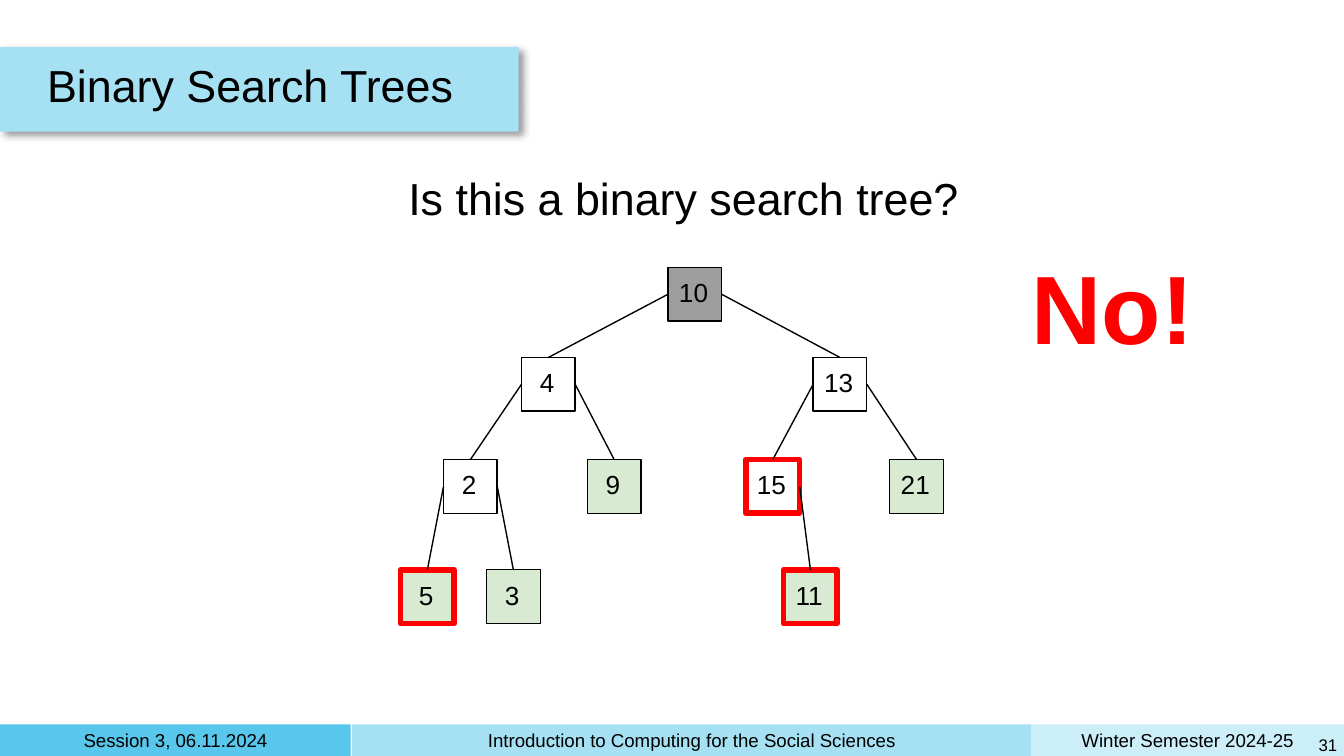
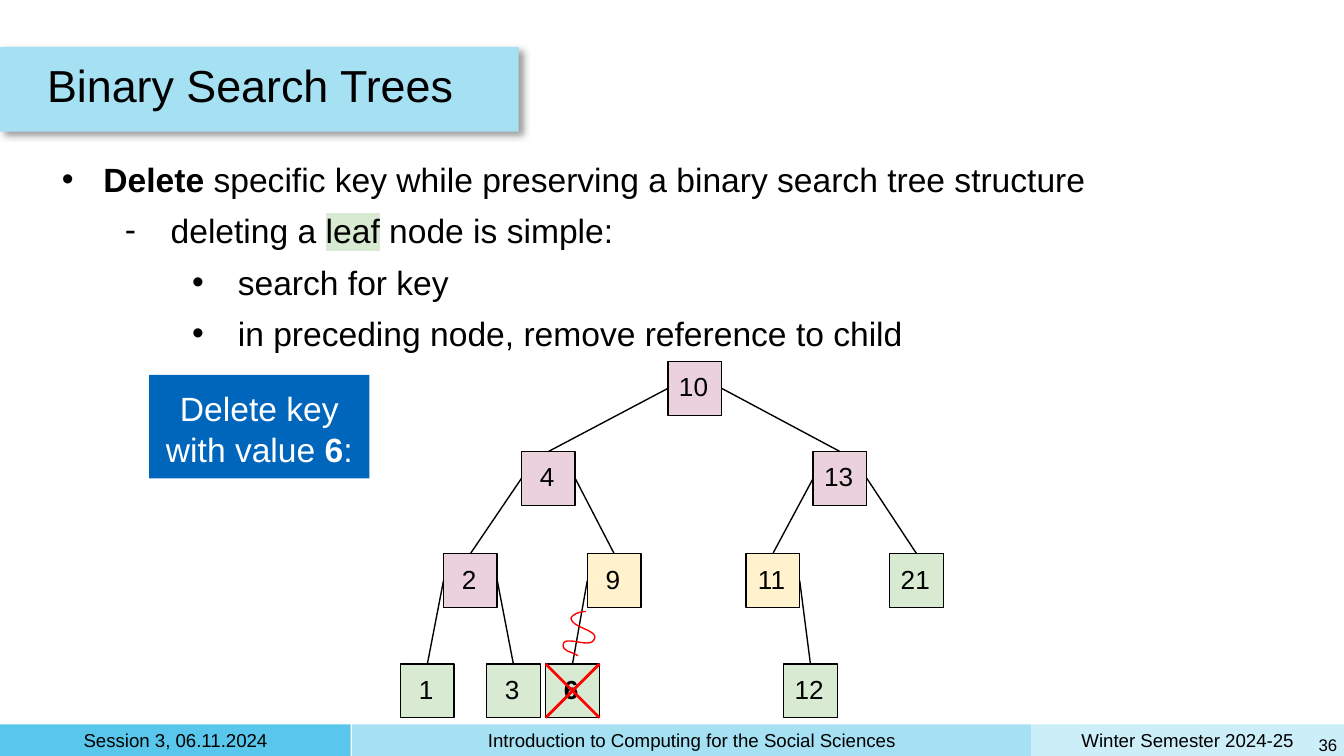
from dataclasses import dataclass

from lxml import etree
from pptx import Presentation
from pptx.dml.color import RGBColor
from pptx.enum.shapes import MSO_CONNECTOR, MSO_SHAPE
from pptx.enum.text import MSO_ANCHOR, MSO_AUTO_SIZE, PP_ALIGN
from pptx.oxml.ns import qn
from pptx.util import Inches, Pt

RECTANGLE = MSO_SHAPE.RECTANGLE
STRAIGHT = MSO_CONNECTOR.STRAIGHT
TOP, MIDDLE = MSO_ANCHOR.TOP, MSO_ANCHOR.MIDDLE
LEFT, CENTER, RIGHT = PP_ALIGN.LEFT, PP_ALIGN.CENTER, PP_ALIGN.RIGHT
NO_AUTOFIT = MSO_AUTO_SIZE.NONE
TITLE_ONLY = 5
SLIDE_WIDTH = 10
SLIDE_HEIGHT = SLIDE_WIDTH * 9 / 16


@dataclass(frozen=True)
class Theme:
    font: str = "Arial"
    black: str = "000000"
    white: str = "FFFFFF"
    red: str = "FF0000"
    blue: str = "0066BB"
    band_dark: str = "59C7EB"
    band: str = "A5E0F3"
    band_light: str = "CCEEF9"
    root: str = "9E9E9E"
    leaf: str = "D9EAD3"
    one_child: str = "FFF2CC"
    two_children: str = "EAD1DC"
    title_size: float = 24
    body_size: float = 18
    node_size: float = 14
    footer_size: float = 10
    number_size: float = 9
    answer_size: float = 52
    thin: float = 0.75
    medium: float = 1.5
    thick: float = 3


THEME = Theme()

TITLE_BAR = (0, 0.35, 3.86, 0.63)
TITLE_BOX = (0.3, 0.35, 8.7, 0.63)
FOOTER_TOP, FOOTER_HEIGHT = 5.39, 0.24
FOOTER_BANDS = [
    (7.67, 2.33, THEME.band_light, "Winter Semester 2024-25"),
    (0, 2.61, THEME.band_dark, "Session 3, 06.11.2024"),
    (2.62, 5.05, THEME.band, "Introduction to Computing for the Social Sciences"),
]

# A node is named by its way down from the root: L for left, R for right.
NODE_SIDE = 0.4
LEVEL_TOPS = (0, 0.67, 1.43, 2.25)
NODE_LEFTS = {
    "": 1.99,
    "L": 0.9, "R": 3.07,
    "LL": 0.32, "LR": 1.39, "RL": 2.57, "RR": 3.64,
    "LLL": 0, "LLR": 0.64, "LRL": 1.08, "RLR": 2.85,
}
CONNECTION_SITES = {"top": 0, "L": 1, "R": 3}


def color(value):
    return RGBColor.from_string(value)


def inches(box):
    return [Inches(length) for length in box]


def add_run(paragraph, text, size, font_color=THEME.black, bold=False, highlight=None):
    run = paragraph.add_run()
    run.text = text
    run.font.size = Pt(size)
    run.font.bold = bold
    run.font.name = THEME.font
    run.font.color.rgb = color(font_color)
    if highlight:
        marker = etree.Element(qn("a:highlight"))
        etree.SubElement(marker, qn("a:srgbClr"), val=highlight)
        run._r.get_or_add_rPr().find(qn("a:latin")).addprevious(marker)


def format_frame(shape, insets, anchor=TOP):
    frame = shape.text_frame
    frame.word_wrap = True
    frame.auto_size = NO_AUTOFIT
    frame.vertical_anchor = anchor
    (frame.margin_left, frame.margin_top,
     frame.margin_right, frame.margin_bottom) = inches(insets)
    return frame


def write_line(shape, text, size, align=CENTER, insets=(0.05,) * 4, anchor=MIDDLE, **style):
    paragraph = format_frame(shape, insets, anchor).paragraphs[0]
    paragraph.alignment = align
    add_run(paragraph, text, size, **style)
    return paragraph


def add_text(slide, box, text, size, **options):
    return write_line(slide.shapes.add_textbox(*inches(box)), text, size, **options)


def add_rectangle(slide, box, fill, line=None, width=THEME.thin):
    shape = slide.shapes.add_shape(RECTANGLE, *inches(box))
    shape.shadow.inherit = False
    shape.fill.solid()
    shape.fill.fore_color.rgb = color(fill)
    if line:
        style_line(shape, line, width)
    else:
        shape.line.fill.background()
    return shape


def style_line(shape, line, width):
    shape.line.color.rgb = color(line)
    shape.line.width = Pt(width)


def add_line(slide, start=(0, 0), end=(0, 0), line=THEME.black, width=THEME.thin):
    connector = slide.shapes.add_connector(STRAIGHT, *inches((*start, *end)))
    style_line(connector, line, width)
    etree.SubElement(connector.element.spPr, qn("a:effectLst"))
    return connector


def add_drop_shadow(shape):
    effects = shape.element.spPr.find(qn("a:effectLst"))
    shadow = etree.SubElement(effects, qn("a:outerShdw"), blurRad=str(Pt(4)),
                              dist=str(Pt(3)), dir=str(45 * 60000),
                              algn="tl", rotWithShape="0")
    shade = etree.SubElement(shadow, qn("a:srgbClr"), val=THEME.black)
    etree.SubElement(shade, qn("a:alpha"), val="40000")


def add_footer_band(slide, box, fill, text):
    left, top, width, height = box
    add_rectangle(slide, box, fill)
    add_text(slide, (left + 0.05, top + 0.02, width - 0.1, height - 0.05),
             text, THEME.footer_size)


def dress_layout(layout, slide):
    """Draw the footer on the still empty slide, then move it into the layout."""
    for placeholder in list(layout.placeholders):
        if placeholder.placeholder_format.idx:
            layout.shapes.element.remove(placeholder.element)
    for left, width, fill, text in FOOTER_BANDS:
        add_footer_band(slide, (left, FOOTER_TOP, width, FOOTER_HEIGHT), fill, text)
    for shape in list(slide.shapes):
        if not shape.is_placeholder:
            layout.shapes.element.append(shape.element)


def add_heading(slide, text, number):
    title = slide.shapes.title
    bar = add_rectangle(slide, TITLE_BAR, THEME.band)
    add_drop_shadow(bar)
    title.element.addprevious(bar.element)
    title.left, title.top, title.width, title.height = inches(TITLE_BOX)
    write_line(title, text, THEME.title_size, align=LEFT).line_spacing = 0.8
    add_text(slide, (9.76, 5.42, 0.24, 0.25), number, THEME.number_size,
             align=RIGHT, insets=(0, 0.05, 0.05, 0.05))


def add_tree(slide, left, top, nodes):
    """Place nodes given as {way: (key, fill, style)} and join each to its parent."""
    shapes = {}
    for way, (key, fill, style) in nodes.items():
        box = (left + NODE_LEFTS[way], top + LEVEL_TOPS[len(way)], NODE_SIDE, NODE_SIDE)
        marked = style == "marked"
        shapes[way] = add_rectangle(slide, box, fill, THEME.red if marked else THEME.black,
                                    THEME.thick if marked else THEME.thin)
        write_line(shapes[way], key, THEME.node_size, insets=(0.08, 0, 0.1, 0.03),
                   bold=style == "bold")
    for way, shape in shapes.items():
        if way:
            edge = add_line(slide)
            edge.begin_connect(shapes[way[:-1]], CONNECTION_SITES[way[-1]])
            edge.end_connect(shape, CONNECTION_SITES["top"])


def add_bullets(slide, box, items):
    frame = format_frame(slide.shapes.add_textbox(*inches(box)), (0.05,) * 4)
    for index, (level, mark, runs) in enumerate(items):
        paragraph = frame.add_paragraph() if index else frame.paragraphs[0]
        paragraph.level = level
        if index:
            paragraph.space_before = Pt(6)
        properties = paragraph._p.get_or_add_pPr()
        properties.set("marL", str(Inches(0.31 + 0.5 * level)))
        properties.set("indent", str(Inches(-0.34 if level else -0.33)))
        bullet_color = etree.SubElement(properties, qn("a:buClr"))
        etree.SubElement(bullet_color, qn("a:srgbClr"), val=THEME.black)
        etree.SubElement(properties, qn("a:buFont"), typeface=THEME.font)
        etree.SubElement(properties, qn("a:buChar"), char=mark)
        for text, style in runs:
            add_run(paragraph, text, THEME.body_size, **style)


def add_callout(slide, box):
    callout = add_rectangle(slide, box, THEME.blue)
    paragraph = write_line(callout, "Delete key with value ", THEME.body_size,
                           insets=(0.1,) * 4, anchor=TOP, font_color=THEME.white)
    add_run(paragraph, "6", THEME.body_size, THEME.white, bold=True)
    add_run(paragraph, ":", THEME.body_size, THEME.white)


def add_cross(slide, left, top, side):
    right, bottom = left + side, top + side
    add_line(slide, (left, top), (right, bottom), THEME.red, THEME.medium)
    add_line(slide, (right, top), (left, bottom), THEME.red, THEME.medium)


def curve_points(start, curves, steps=12):
    """Sample a chain of cubic curves, each given as two handles and an end."""
    points = []
    for curve in curves:
        corners = (start, *curve)
        for step in range(1, steps + 1):
            t = step / steps
            weights = ((1 - t) ** 3, 3 * t * (1 - t) ** 2, 3 * t * t * (1 - t), t ** 3)
            points.append(tuple(sum(weight * corner[axis]
                                    for weight, corner in zip(weights, corners))
                                for axis in (0, 1)))
        start = curve[-1]
    return points


def add_squiggle(slide, left, top):
    """Draw the wavy stroke, with its points in thousandths of an inch."""
    start = (110, 330)
    curves = [
        ((70, 300), (0, 300), (0, 250)),
        ((0, 170), (200, 280), (230, 210)),
        ((270, 140), (90, 130), (60, 60)),
        ((50, 30), (120, 0), (170, 0)),
    ]
    builder = slide.shapes.build_freeform(*start, scale=Inches(1) / 1000)
    builder.add_line_segments(curve_points(start, curves), close=False)
    squiggle = builder.convert_to_shape(Inches(left), Inches(top))
    squiggle.shadow.inherit = False
    squiggle.fill.background()
    style_line(squiggle, THEME.red, THEME.thin)


def build_question_slide(slide):
    add_heading(slide, "Binary Search Trees", "31")
    add_tree(slide, 2.98, 1.99, {
        "": ("10", THEME.root, ""),
        "L": ("4", THEME.white, ""),
        "R": ("13", THEME.white, ""),
        "LL": ("2", THEME.white, ""),
        "LR": ("9", THEME.leaf, ""),
        "RL": ("15", THEME.white, "marked"),
        "RR": ("21", THEME.leaf, ""),
        "LLL": ("5", THEME.leaf, "marked"),
        "LLR": ("3", THEME.leaf, ""),
        "RLR": ("11", THEME.leaf, "marked"),
    })
    add_text(slide, (2.89, 1.17, 4.39, 0.47), "Is this a binary search tree?",
             THEME.title_size, insets=(0.1,) * 4, anchor=TOP)
    add_text(slide, (7.53, 1.74, 1.5, 1.01), "No!", THEME.answer_size,
             insets=(0.1,) * 4, anchor=TOP, font_color=THEME.red, bold=True)


def build_deletion_slide(slide):
    add_bullets(slide, (0.41, 1.13, 9.19, 1.57), [
        (0, "•", [("Delete", {"bold": True}),
                  (" specific key while preserving a binary search tree structure", {})]),
        (1, "-", [("deleting a ", {}), ("leaf", {"highlight": THEME.leaf}),
                  (" node is simple:", {})]),
        (2, "•", [("search for key", {})]),
        (2, "•", [("in preceding node, remove reference to child", {})]),
    ])
    add_heading(slide, "Binary Search Trees", "36")
    tree_left, tree_top = 2.98, 2.69
    add_tree(slide, tree_left, tree_top, {
        "": ("10", THEME.two_children, ""),
        "L": ("4", THEME.two_children, ""),
        "R": ("13", THEME.two_children, ""),
        "LL": ("2", THEME.two_children, ""),
        "LR": ("9", THEME.one_child, ""),
        "RL": ("11", THEME.one_child, ""),
        "RR": ("21", THEME.leaf, ""),
        "LLL": ("1", THEME.leaf, ""),
        "LLR": ("3", THEME.leaf, ""),
        "LRL": ("6", THEME.leaf, "bold"),
        "RLR": ("12", THEME.leaf, ""),
    })
    add_callout(slide, (1.11, 2.79, 1.64, 0.77))
    add_cross(slide, tree_left + NODE_LEFTS["LRL"], tree_top + LEVEL_TOPS[3], NODE_SIDE)
    add_squiggle(slide, 4.19, 4.55)


def main():
    presentation = Presentation()
    presentation.slide_width, presentation.slide_height = inches((SLIDE_WIDTH, SLIDE_HEIGHT))
    layout = presentation.slide_layouts[TITLE_ONLY]
    slides = [presentation.slides.add_slide(layout) for _ in range(2)]
    dress_layout(layout, slides[0])
    build_question_slide(slides[0])
    build_deletion_slide(slides[1])
    presentation.save("out.pptx")


if __name__ == "__main__":
    main()
